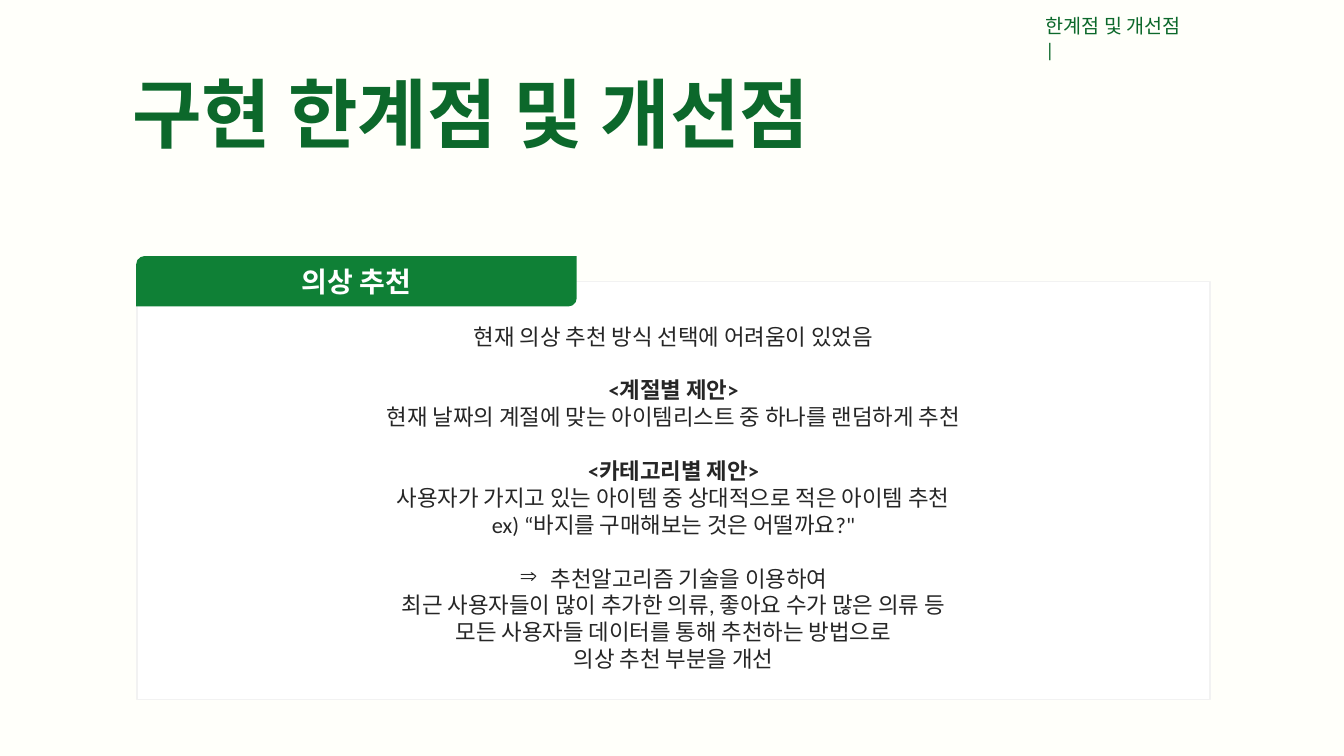
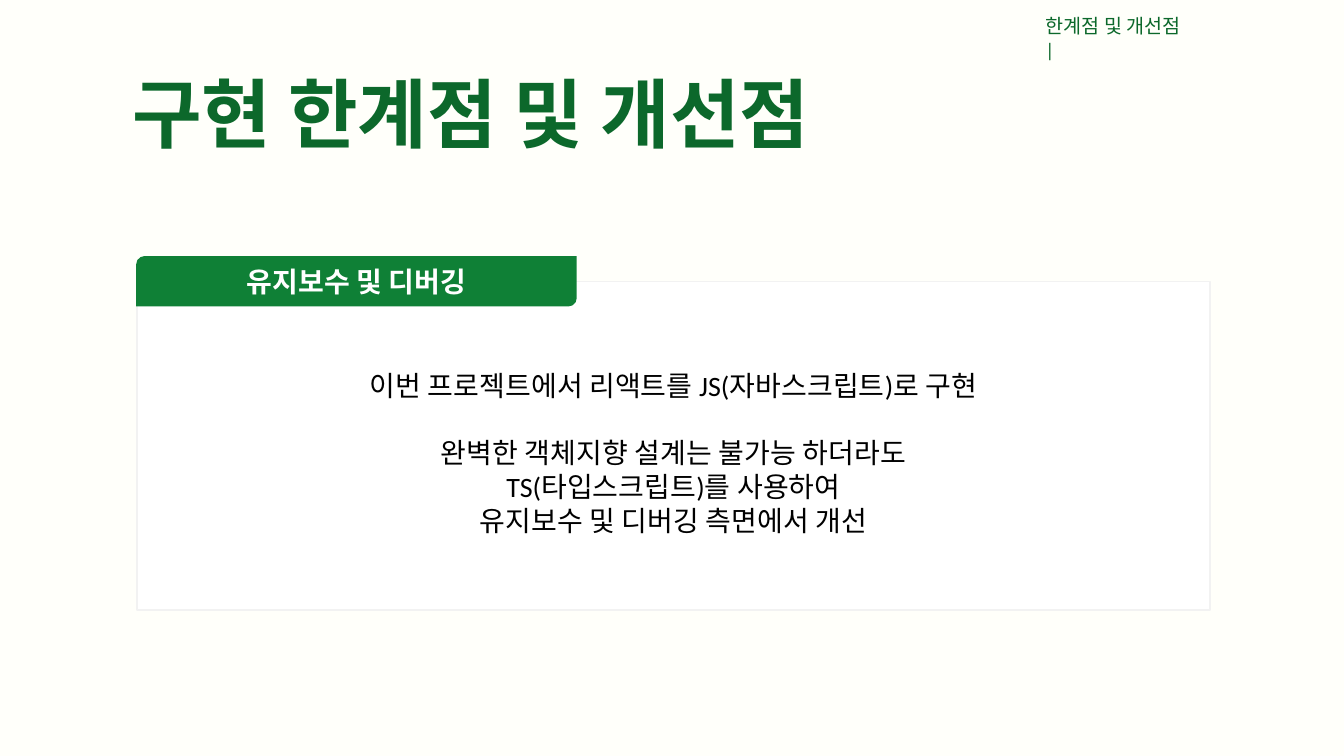
from lxml import etree
from pptx import Presentation
from pptx import util as u
from pptx.dml.color import RGBColor
from pptx.enum import shapes, text
from pptx.oxml.ns import qn

WIDTH, HEIGHT = u.Inches(13.33), u.Inches(7.5)
FONT = "Calibri"
PAPER, WHITE, EDGE = "FFFFFA", "FFFFFF", "F2F2F2"
GREEN, DARK_GREEN, INK, BLACK = "0F8036", "0C682B", "262626", "000000"
LINE_HEIGHT = 1.2
ARROW = "⇒"
TITLE = "구현 한계점 및 개선점"
SECTION = ["한계점 및 개선점", "|"]

TOPICS = [
    {
        "heading": "의상 추천", "height": 55.33, "size": 16, "color": INK,
        "groups": [
            ["현재 의상 추천 방식 선택에 어려움이 있었음"],
            ["<계절별 제안>",
             "현재 날짜의 계절에 맞는 아이템리스트 중 하나를 랜덤하게 추천"],
            ["<카테고리별 제안>",
             "사용자가 가지고 있는 아이템 중 상대적으로 적은 아이템 추천",
             "ex) “바지를 구매해보는 것은 어떨까요?\""],
            [ARROW + "추천알고리즘 기술을 이용하여",
             "최근 사용자들이 많이 추가한 의류, 좋아요 수가 많은 의류 등",
             "모든 사용자들 데이터를 통해 추천하는 방법으로",
             "의상 추천 부분을 개선"],
        ],
    },
    {
        "heading": "유지보수 및 디버깅", "height": 43.47, "size": 20, "color": BLACK,
        "groups": [
            ["이번 프로젝트에서 리액트를 JS(자바스크립트)로 구현"],
            ["완벽한 객체지향 설계는 불가능 하더라도",
             "TS(타입스크립트)를 사용하여",
             "유지보수 및 디버깅 측면에서 개선"],
        ],
    },
]


def rgb(value):
    """Turn a hex string into a colour."""
    return RGBColor.from_string(value)


def box(x, y, w, h):
    """Turn percentages of the slide into left, top, width and height."""
    return [int(side * share / 100)
            for side, share in zip((WIDTH, HEIGHT) * 2, (x, y, w, h))]


def set_bullet(p, char):
    """Give a paragraph a hanging bullet."""
    pPr = p._p.get_or_add_pPr()
    pPr.set("marL", str(u.Inches(0.31)))
    pPr.set("indent", str(-u.Inches(0.31)))
    etree.SubElement(pPr, qn("a:buChar")).set("char", char)


def write(tf, groups, size, color, bold=False, align=text.PP_ALIGN.LEFT,
          anchor=text.MSO_ANCHOR.TOP):
    """Write groups of lines, one empty line's height apart."""
    tf.word_wrap = True
    tf.auto_size = text.MSO_AUTO_SIZE.NONE
    tf.vertical_anchor = anchor
    p = tf.paragraphs[0]
    for g, group in enumerate(groups):
        for i, line in enumerate(group):
            if g or i:
                p = tf.add_paragraph()
            p.alignment = align
            if g and not i:
                p.space_before = u.Pt(size * LINE_HEIGHT)
            if line.startswith(ARROW):
                set_bullet(p, ARROW)
            r = p.add_run()
            r.text = line.removeprefix(ARROW)
            r.font.name = FONT
            r.font.size = u.Pt(size)
            r.font.bold = bold or line.startswith("<")
            r.font.color.rgb = rgb(color)
            etree.SubElement(r._r.get_or_add_rPr(), qn("a:ea")).set("typeface", FONT)


def add_panel(s, kind, place, fill, line=None):
    """Add a flat filled shape and return it."""
    sp = s.shapes.add_shape(kind, *box(*place))
    sp.shadow.inherit = False
    sp.fill.solid()
    sp.fill.fore_color.rgb = rgb(fill)
    if line:
        sp.line.color.rgb = rgb(line)
        sp.line.width = u.Pt(1)
    else:
        sp.line.fill.background()
    return sp


def add_card(s, topic):
    """Add the white card and the green tab on its top edge."""
    centred = {"align": text.PP_ALIGN.CENTER, "anchor": text.MSO_ANCHOR.MIDDLE}
    card = add_panel(s, shapes.MSO_SHAPE.RECTANGLE,
                     (10.2, 37.2, 79.82, topic["height"]), WHITE, EDGE)
    card.text_frame.margin_top = u.Inches(0.19)
    write(card.text_frame, topic["groups"], topic["size"], topic["color"], **centred)
    tab = add_panel(s, shapes.MSO_SHAPE.ROUND_2_DIAG_RECTANGLE,
                    (10.13, 33.87, 32.78, 6.67), GREEN)
    write(tab.text_frame, [[topic["heading"]]], 20, WHITE, bold=True, **centred)


def add_header(s):
    """Fill the title and add the section name at the top right."""
    title = s.shapes.title
    title.left, title.top, title.width, title.height = box(9.08, 8.13, 60, 13.47)
    write(title.text_frame, [[TITLE]], 54, DARK_GREEN, bold=True)
    section = s.shapes.add_textbox(*box(77.04, 1.2, 12.98, 7.6))
    write(section.text_frame, [SECTION], 14, DARK_GREEN)


def main():
    """Build and save the slides."""
    prs = Presentation()
    prs.slide_width, prs.slide_height = WIDTH, HEIGHT
    paper = prs.slide_master.background.fill
    paper.solid()
    paper.fore_color.rgb = rgb(PAPER)
    layout = prs.slide_layouts.get_by_name("Title Only")
    for topic in TOPICS:
        s = prs.slides.add_slide(layout)
        add_card(s, topic)
        add_header(s)
    prs.save("out.pptx")


if __name__ == "__main__":
    main()
